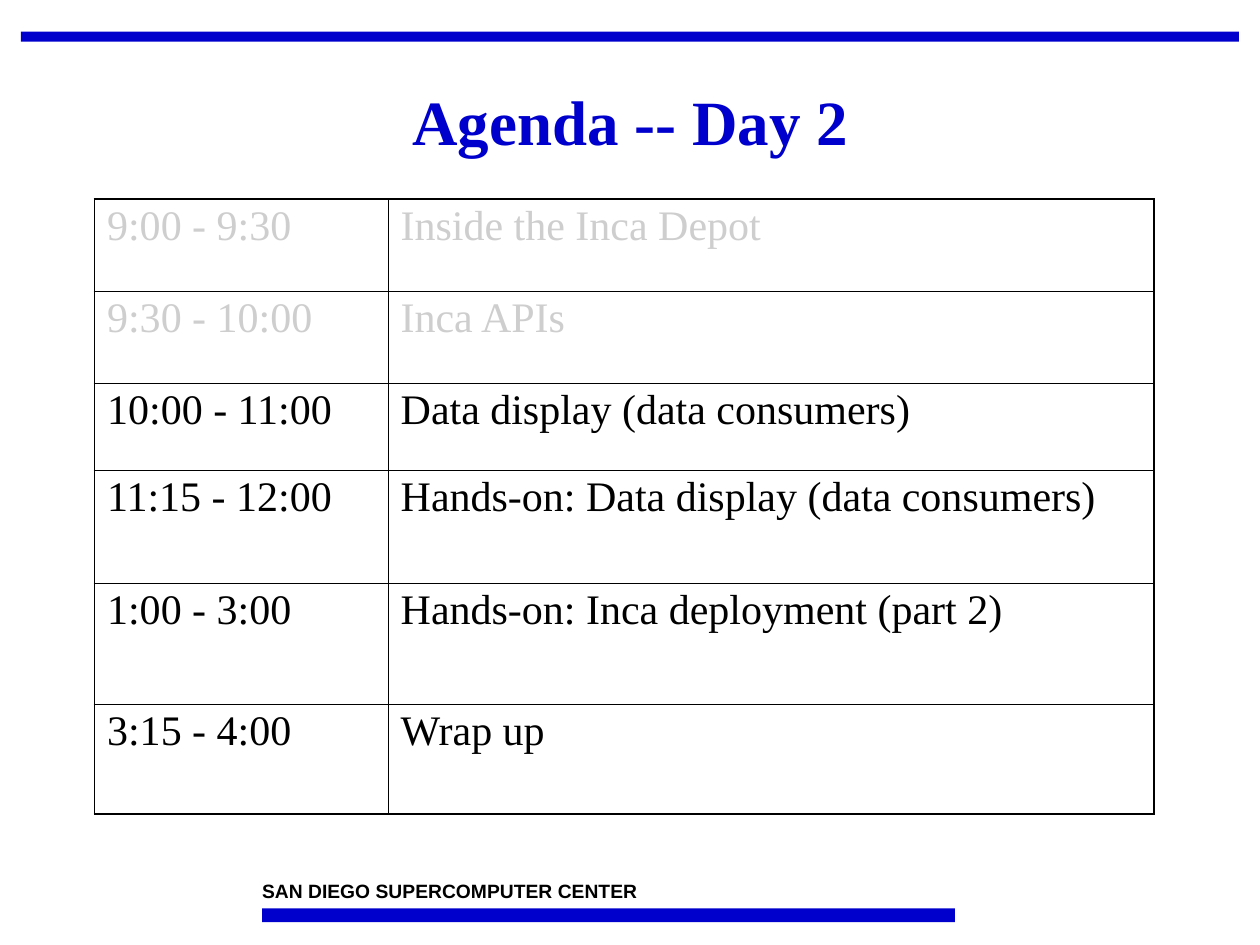
import pptx
import pptx.util
import pptx.dml.color
import pptx.enum.shapes
import pptx.enum.text
import pptx.oxml
import pptx.oxml.ns

# Content
TITLE = "Agenda -- Day 2"
FOOT = "SAN DIEGO SUPERCOMPUTER CENTER"
# time, topic, row height, colour
ROWS = [
    ("9:00 - 9:30", "Inside the Inca Depot", 0.73, "past"),
    ("9:30 - 10:00", "Inca APIs", 0.73, "past"),
    ("10:00 - 11:00", "Data display (data consumers)", 0.69, "ink"),
    ("11:15 - 12:00", "Hands-on: Data display (data consumers)", 0.9, "ink"),
    ("1:00 - 3:00", "Hands-on: Inca deployment (part 2)", 0.96, "ink"),
    ("3:15 - 4:00", "Wrap up", 0.87, "ink"),
]

# Format
HUES = {"blue": "0000CC", "past": "CECECE", "ink": "000000"}
HEAD = {"name": "Times New Roman", "size": pptx.util.Pt(36), "bold": True}
BODY = {"name": "Times New Roman", "size": pptx.util.Pt(24), "bold": False}
NOTE = {"name": "Arial", "size": pptx.util.Pt(11), "bold": True}
COLS = (2.33, 6.08)
EDGE, RULE = 1.08, 0.45
WIDE, HIGH = 10, 7.5
SIDE = WIDE / 60
SPAN = WIDE - 2 * SIDE
LEFT = 2.08

inch = pptx.util.Inches


def tint(hue):
    return pptx.dml.color.RGBColor.from_string(HUES[hue])


def write(frame, text, form, hue, space=1.0):
    para = frame.paragraphs[0]
    para.line_spacing = space
    run = para.add_run()
    run.text = text
    for key, val in form.items():
        setattr(run.font, key, val)
    run.font.color.rgb = tint(hue)
    return para


def add_bar(slide, *box):
    bar = slide.shapes.add_shape(
        pptx.enum.shapes.MSO_SHAPE.RECTANGLE, *map(inch, box))
    bar.shadow.inherit = False
    bar.fill.solid()
    bar.fill.fore_color.rgb = tint("blue")
    bar.line.fill.background()


def add_text(slide, box, pad):
    frame = slide.shapes.add_textbox(*map(inch, box)).text_frame
    frame.word_wrap = True
    frame.margin_left = frame.margin_right = inch(2 * pad)
    frame.margin_top = frame.margin_bottom = inch(pad)
    return frame


def add_lines(cell, sides):
    props = cell._tc.get_or_add_tcPr()
    for spot, (side, size) in enumerate(sides.items()):
        props.insert(spot, pptx.oxml.parse_xml(
            f'<a:ln{side} {pptx.oxml.ns.nsdecls("a")} w="{pptx.util.Pt(size)}">'
            f'<a:solidFill><a:srgbClr val="{HUES["ink"]}"/></a:solidFill>'
            f'</a:ln{side}>'))


deck = pptx.Presentation()
deck.slide_width, deck.slide_height = inch(WIDE), inch(HIGH)
slide = deck.slides.add_slide(deck.slide_layouts[6])

# Bars and footer
add_bar(slide, SIDE, 0.25, SPAN, 0.08)
add_bar(slide, LEFT, 7.21, 5.5, 0.11)
write(add_text(slide, (LEFT, 6.98, 3.75, 0.18), 0), FOOT, NOTE, "ink")

# Title
frame = add_text(slide, (SIDE, 0.42, SPAN, 1.14), 0.05)
frame.vertical_anchor = pptx.enum.text.MSO_ANCHOR.MIDDLE
para = write(frame, TITLE, HEAD, "blue", 0.9)
para.alignment = pptx.enum.text.PP_ALIGN.CENTER

# Agenda table
tall = sum(row[2] for row in ROWS)
grid = slide.shapes.add_table(
    len(ROWS), len(COLS), inch(0.75), inch(1.58),
    inch(sum(COLS)), inch(tall)).table
grid.first_row = grid.horz_banding = False
for col, width in zip(grid.columns, COLS):
    col.width = inch(width)
for r, (time, topic, height, hue) in enumerate(ROWS):
    grid.rows[r].height = inch(height)
    for c, text in enumerate((time, topic)):
        cell = grid.cell(r, c)
        cell.fill.background()
        write(cell.text_frame, text, BODY, hue, 0.95)
        add_lines(cell, {
            "L": EDGE if c == 0 else RULE,
            "R": EDGE if c == len(COLS) - 1 else RULE,
            "T": EDGE if r == 0 else RULE,
            "B": EDGE if r == len(ROWS) - 1 else RULE,
        })

deck.save("out.pptx")
